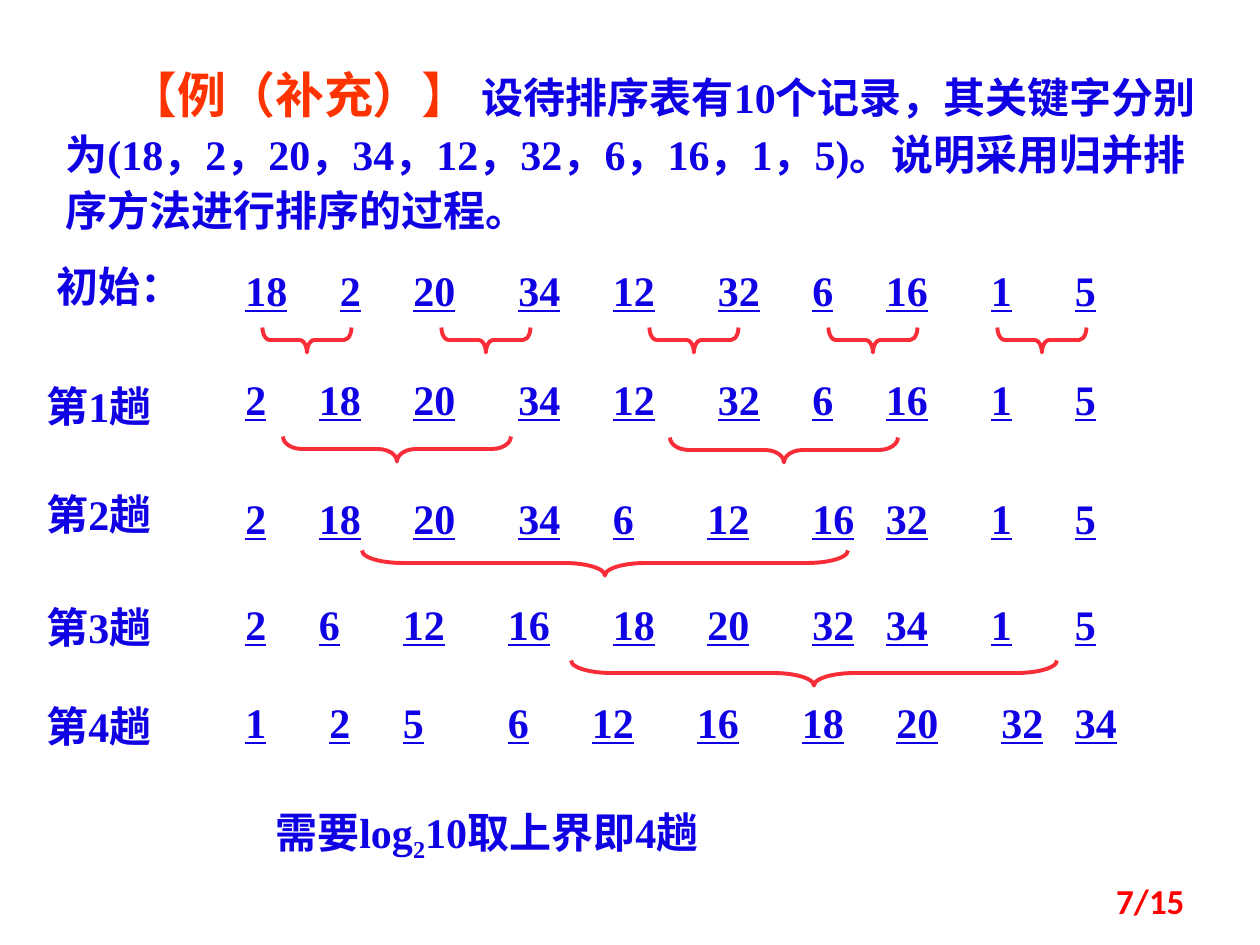
from dataclasses import dataclass

import lxml.etree
import pptx
import pptx.dml.color
import pptx.enum.shapes
import pptx.enum.text
import pptx.oxml.ns
import pptx.util

SCALE = 914400 / 126
COLORS = {"ink": "1000E4", "mark": "FF3300", "brace": "F92D37", "page": "FF0000"}
SERIF = "Times New Roman"
THICK = 25
SPACE = 6


@dataclass
class Row:
    label: str
    label_box: tuple[int, int, int, int]
    box: tuple[int, int, int, int]
    groups: list[list[int]]
    gaps: list[int]


@dataclass
class Brace:
    mid: int
    level: int
    span: int


def px(count: float) -> pptx.util.Emu:
    return pptx.util.Emu(round(count * SCALE))


def color(name: str) -> pptx.dml.color.RGBColor:
    return pptx.dml.color.RGBColor.from_string(COLORS[name])


def add_box(slide, box: tuple[int, int, int, int], grow: bool = True):
    frame = slide.shapes.add_textbox(*map(px, box)).text_frame
    frame.word_wrap = True
    if grow:
        frame.auto_size = pptx.enum.text.MSO_AUTO_SIZE.SHAPE_TO_FIT_TEXT
    return frame


def write(para, text: str, *, size: int = 24, font: str = SERIF, ink: str = "ink",
          bold: bool = True, under: bool = False, base: int = 0) -> None:
    run = para.add_run()
    run.text = text
    run.font.size = pptx.util.Pt(size)
    run.font.name = font
    run.font.bold = bold
    run.font.underline = under
    run.font.color.rgb = color(ink)
    if base:
        run.font._element.set("baseline", str(base))


def add_stops(para, row: Row) -> None:
    props = para._p.get_or_add_pPr()
    stops = lxml.etree.SubElement(props, pptx.oxml.ns.qn("a:tabLst"))
    items = [item for group in row.groups for item in group]
    place = 0
    for item, gap in zip(items, row.gaps):
        place += 2 * len(str(item)) + gap
        stop = lxml.etree.SubElement(stops, pptx.oxml.ns.qn("a:tab"))
        stop.set("pos", str(pptx.util.Pt(place * SPACE)))
        stop.set("algn", "l")


def draw_row(slide, row: Row) -> None:
    write(add_box(slide, row.label_box).paragraphs[0], row.label)
    para = add_box(slide, row.box).paragraphs[0]
    add_stops(para, row)
    for index, group in enumerate(row.groups):
        if index:
            write(para, "\t")
        write(para, "\t".join(map(str, group)), under=True)


def draw_brace(slide, brace: Brace) -> None:
    shape = slide.shapes.add_shape(
        pptx.enum.shapes.MSO_SHAPE.LEFT_BRACE,
        px(brace.mid - THICK / 2), px(brace.level - brace.span / 2),
        px(THICK), px(brace.span))
    shape.rotation = 270
    shape.adjustments[0] = brace.span / (12 * THICK)
    shape.adjustments[1] = 0.5
    shape.shadow.inherit = False
    shape.fill.background()
    shape.line.color.rgb = color("brace")
    shape.line.width = pptx.util.Pt(2.25)


ROWS = [
    Row("初始：", (44, 254, 208, 63), (233, 258, 912, 63),
        [[18], [2], [20], [34], [12], [32], [6], [16], [1], [5]],
        [5, 5, 6, 5, 6, 5, 5, 6, 6]),
    Row("第1趟", (34, 374, 159, 63), (233, 367, 912, 64),
        [[2, 18], [20, 34], [12, 32], [6, 16], [1, 5]],
        [5, 5, 6, 5, 6, 5, 5, 6, 6]),
    Row("第2趟", (34, 482, 159, 63), (233, 486, 912, 64),
        [[2, 18, 20, 34], [6, 12, 16, 32], [1, 5]],
        [5, 5, 6, 5, 7, 6, 3, 6, 6]),
    Row("第3趟", (34, 595, 159, 63), (233, 592, 963, 64),
        [[2, 6, 12, 16, 18, 20, 32, 34], [1, 5]],
        [5, 6, 6, 6, 5, 6, 3, 6, 6]),
    Row("第4趟", (34, 694, 159, 63), (233, 690, 963, 64),
        [[1, 2, 5, 6, 12, 16, 18, 20, 32, 34]],
        [6, 5, 8, 6, 6, 6, 5, 6, 3]),
]

BRACES = [
    *(Brace(mid, 340, 89) for mid in (307, 486, 694, 873, 1042)),
    Brace(397, 449, 228),
    Brace(784, 450, 228),
    Brace(605, 563, 486),
    Brace(814, 673, 486),
]


def main() -> None:
    deck = pptx.Presentation()
    deck.slide_width, deck.slide_height = px(1260), px(945)
    slide = deck.slides.add_slide(deck.slide_layouts[6])

    para = add_box(slide, (53, 53, 1158, 190)).paragraphs[0]
    para.line_spacing = 1.1
    para._p.get_or_add_pPr().set("indent", str(pptx.util.Pt(6 * SPACE)))
    write(para, "【", size=28, ink="mark", bold=False)
    write(para, "例（补充）", size=28, ink="mark")
    write(para, "】 ", size=28, ink="mark", bold=False)
    write(para, "设待排序表有10个记录，其关键字分别为"
                "(18，2，20，34，12，32，6，16，1，5)。"
                "说明采用归并排序方法进行排序的过程。")

    for row in ROWS:
        draw_row(slide, row)
    for brace in BRACES:
        draw_brace(slide, brace)

    para = add_box(slide, (263, 800, 515, 63)).paragraphs[0]
    write(para, "需要log")
    write(para, "2", base=-25000)
    write(para, "10取上界即4趟")

    frame = add_box(slide, (903, 876, 294, 50), grow=False)
    frame.vertical_anchor = pptx.enum.text.MSO_ANCHOR.MIDDLE
    para = frame.paragraphs[0]
    para.alignment = pptx.enum.text.PP_ALIGN.RIGHT
    write(para, "7/15", size=20, font="Calibri", ink="page")

    deck.save("out.pptx")


if __name__ == "__main__":
    main()
